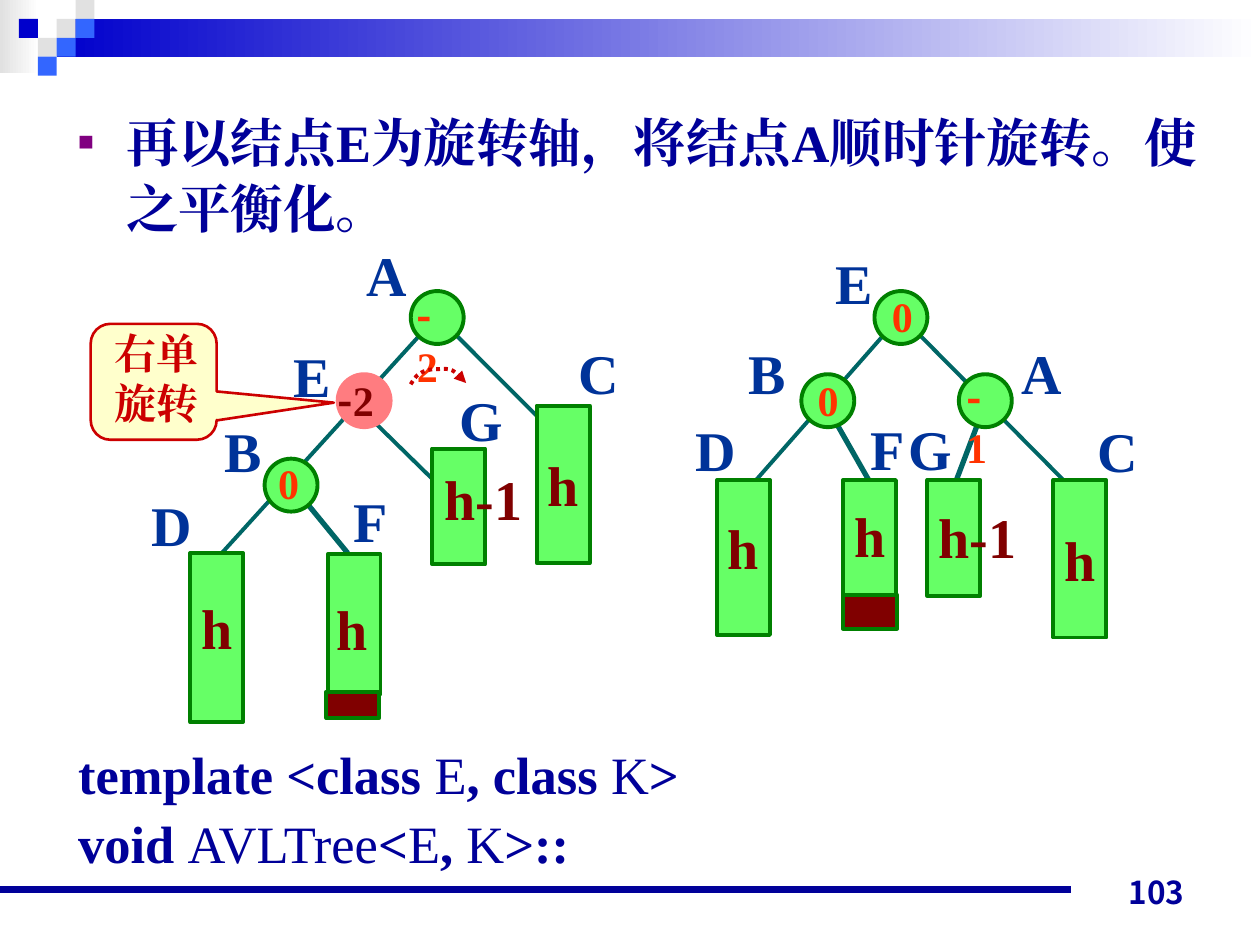
"""Build the AVL tree right-rotation slide."""
from lxml import etree
from pptx import Presentation
from pptx import util as u
from pptx.dml import color
from pptx.enum import dml, shapes, text
from pptx.oxml import ns

SERIF, SANS, SANS_SC = "Times New Roman", "Noto Sans CJK JP", "Noto Sans CJK SC"
NAVY, LABEL, MAROON, ORANGE = "000099", "003399", "800000", "FF3300"
RED, GREEN, EDGE_GREEN, TEAL, GREY = "CC0000", "66FF66", "008000", "006666", "E1E1E1"
NODE, BAR, TILE = 0.42, 0.42, 0.15


def rgb(value):
    return color.RGBColor.from_string(value)


def child(parent, tag, **attributes):
    return etree.SubElement(parent, ns.qn(tag), **attributes)


class Deck:
    """Holds the presentation style and the current slide."""

    def __init__(self):
        self.deck = Presentation()
        self.deck.slide_width, self.deck.slide_height = u.Inches(10), u.Inches(7.5)
        self.slide = self.deck.slides.add_slide(self.deck.slide_layouts[1])
        title = self.slide.shapes.title.element
        title.getparent().remove(title)

    def run(self, paragraph, words, size, fill, face=SERIF, bold=True):
        run = paragraph.add_run()
        run.text = words
        font = run.font
        font.size, font.bold, font.name = u.Pt(size), bold, face
        font.color.rgb = rgb(fill)
        child(run._r.get_or_add_rPr(), "a:ea", typeface=face)

    def shape(self, kind, box, fill, line=None, width=2.25):
        item = self.slide.shapes.add_shape(kind, *map(u.Inches, box))
        item.shadow.inherit = False
        item.fill.solid()
        item.fill.fore_color.rgb = rgb(fill)
        if line:
            item.line.color.rgb, item.line.width = rgb(line), u.Pt(width)
        else:
            item.line.fill.background()
        return item

    def rect(self, box, fill, line=None):
        return self.shape(shapes.MSO_SHAPE.RECTANGLE, box, fill, line)

    def gradient(self, box, start):
        fill = self.rect(box, start).fill
        fill.gradient()
        fill.gradient_angle = 0
        for stop, (position, value) in zip(fill.gradient_stops, ((0, start), (1, "FFFFFF"))):
            stop.position, stop.color.rgb = position, rgb(value)

    def node(self, x, y, fill=GREEN, line=EDGE_GREEN):
        self.shape(shapes.MSO_SHAPE.OVAL, (x, y, NODE, NODE), fill, line)

    def subtree(self, x, y, height, height_label=None, spacing=None):
        bar = self.rect((x, y, BAR, height), GREEN, EDGE_GREEN)
        if height_label:
            bar.text_frame.word_wrap = False
            paragraph = bar.text_frame.paragraphs[0]
            paragraph.alignment = text.PP_ALIGN.CENTER
            paragraph.line_spacing = spacing
            self.run(paragraph, height_label, 32, MAROON)

    def line(self, start, end, fill=TEAL, width=2.25):
        item = self.slide.shapes.add_connector(
            shapes.MSO_CONNECTOR.STRAIGHT, *map(u.Inches, start + end))
        item.line.color.rgb, item.line.width = rgb(fill), u.Pt(width)
        child(item._element.spPr, "a:effectLst")

    def text(self, box, lines, wrap=False, align=None, anchor=text.MSO_ANCHOR.TOP,
             fit=text.MSO_AUTO_SIZE.SHAPE_TO_FIT_TEXT):
        frame = self.slide.shapes.add_textbox(*map(u.Inches, box)).text_frame
        frame.word_wrap, frame.auto_size, frame.vertical_anchor = wrap, fit, anchor
        for index, runs in enumerate(lines):
            paragraph = frame.add_paragraph() if index else frame.paragraphs[0]
            paragraph.alignment = align
            for run in runs:
                self.run(paragraph, *run)

    def label(self, words, x, y, width, fill=LABEL):
        self.text((x, y, width, 0.64), [[(words, 32, fill)]])

    def balance(self, value, x, y, width, fill=ORANGE, wrap=False):
        runs = [(mark, 24, fill, SANS_SC if mark == "-" else SERIF) for mark in value]
        self.text((x, y, width, 0.5), [runs], wrap)

    def arc(self, start, curves):
        points, origin = [], start
        for first, second, end in curves:
            for t in (step / 8 for step in range(1, 9)):
                weights = ((1 - t) ** 3, 3 * t * (1 - t) ** 2, 3 * t * t * (1 - t), t ** 3)
                points.append(tuple(u.Inches(sum(w * p[axis] for w, p in zip(
                    weights, (origin, first, second, end)))) for axis in (0, 1)))
            origin = end
        builder = self.slide.shapes.build_freeform(*map(u.Inches, start))
        builder.add_line_segments(points, close=False)
        item = builder.convert_to_shape()
        item.shadow.inherit = False
        item.fill.background()
        item.line.color.rgb, item.line.width = rgb(RED), u.Pt(2.25)
        item.line.dash_style = dml.MSO_LINE.ROUND_DOT
        child(item.line._get_or_add_ln(), "a:tailEnd", type="triangle")

    def body(self, box, statement, code, gap):
        holder = self.slide.placeholders[1]
        holder.left, holder.top, holder.width, holder.height = map(u.Inches, box)
        frame = holder.text_frame
        frame.auto_size = text.MSO_AUTO_SIZE.NONE
        for index, runs in enumerate([[(statement, True)]] + code):
            paragraph = frame.add_paragraph() if index else frame.paragraphs[0]
            properties = paragraph._p.get_or_add_pPr()
            properties.set("marL", str(u.Inches(0.38)))
            properties.set("indent", str(u.Inches(-0.38)))
            if index:
                child(properties, "a:buNone")
            else:
                child(child(properties, "a:buClr"), "a:srgbClr", val="800080")
                child(properties, "a:buSzPct", val="50000")
                child(properties, "a:buChar", char="■")
                paragraph.alignment = text.PP_ALIGN.JUSTIFY
                paragraph.line_spacing = 1.05
            paragraph.space_before = u.Pt((0, gap, 3.7)[index])
            for words, bold in runs:
                self.run(paragraph, words, 30, NAVY, bold=bold)


def frame_slide(deck):
    deck.gradient((0, 0, 0.31, 0.58), GREY)
    deck.gradient((0.45, 0.15, 9.55, 0.3), "0000CC")
    for column, row, fill in ((3, 1, GREY), (4, 0, GREY), (4, 1, "3366FF"), (2, 2, GREY),
                              (1, 1, "0000CC"), (3, 2, "3366FF"), (2, 3, "3366FF")):
        deck.rect((column * TILE, row * TILE, TILE, TILE), fill)
    deck.line((0, 7.06), (8.5, 7.06), NAVY, 4.5)
    deck.text((7.17, 6.78, 2.33, 0.5), [[("103", 18, NAVY, SANS)]], True,
              text.PP_ALIGN.RIGHT, text.MSO_ANCHOR.BOTTOM, text.MSO_AUTO_SIZE.NONE)


def before_rotation(deck):
    callout = deck.shape(shapes.MSO_SHAPE.ROUNDED_RECTANGULAR_CALLOUT,
                         (0.72, 2.57, 1, 0.92), "FFFFCC", RED, 1.5)
    for index, value in enumerate((1.43, 0.18, 0.17)):
        callout.adjustments[index] = value
    deck.text((0.81, 2.55, 1, 0.9), [[(words, 24, RED)] for words in ("右单", "旋转")], True)
    deck.line((2.35, 3.89), (2.76, 4.39), width=3)
    for start, end in (((3.6, 2.64), (4.35, 3.39)), ((3.35, 2.64), (1.76, 4.39)),
                       ((2.93, 3.31), (3.43, 3.8))):
        deck.line(start, end)
    deck.node(2.68, 2.97, "FF7C80", "FF7C80")
    deck.node(3.26, 2.31)
    deck.node(2.1, 3.64)
    deck.subtree(4.26, 3.22, 1.25, "h")
    deck.subtree(1.51, 4.39, 1.34, "h", 0.6)
    deck.subtree(2.6, 4.4, 1.11)
    deck.subtree(3.43, 3.56, 0.92)
    deck.rect((2.59, 5.49, BAR, 0.21), MAROON, EDGE_GREEN)
    for label in (("A", 2.81, 1.86, 0.52), ("E", 2.23, 2.66, 0.49), ("C", 4.49, 2.64, 0.52),
                  ("D", 1.1, 3.84, 0.52), ("B", 1.68, 3.26, 0.49), ("F", 2.71, 3.81, 0.47),
                  ("G", 3.55, 3.01, 0.54), ("h-1", 3.43, 3.64, 0.82, MAROON),
                  ("h", 2.57, 4.67, 0.45, MAROON)):
        deck.label(*label)
    deck.balance("0", 2.11, 3.58, 0.36)
    deck.balance("-2", 3.21, 2.25, 0.47, wrap=True)
    deck.balance("-2", 2.58, 2.92, 0.56, MAROON)


def after_rotation(deck):
    for start, end, width in (((7.78, 3.31), (7.53, 3.97), 3), ((7.28, 2.64), (8.44, 3.81), 2.25),
                              ((7.03, 2.64), (5.86, 3.97), 2.25), ((6.61, 3.31), (6.94, 3.89), 3)):
        deck.line(start, end, width=width)
    for x, y in ((6.36, 2.97), (6.94, 2.31), (7.61, 2.97)):
        deck.node(x, y)
    deck.subtree(8.36, 3.81, 1.25, "h")
    deck.subtree(7.36, 3.81, 0.92)
    deck.subtree(5.69, 3.81, 1.23, "h", 0.6)
    deck.subtree(6.69, 3.81, 0.95)
    deck.rect((6.69, 4.72, 0.43, 0.27), MAROON, EDGE_GREEN)
    for label in (("F", 6.81, 3.24, 0.47), ("G", 7.11, 3.24, 0.54), ("D", 5.42, 3.25, 0.52),
                  ("A", 8.01, 2.64, 0.52), ("C", 8.61, 3.26, 0.52), ("E", 6.53, 1.92, 0.49),
                  ("B", 5.84, 2.64, 0.49), ("h-1", 7.35, 3.94, 0.82, MAROON),
                  ("h", 6.68, 3.93, 0.45, MAROON)):
        deck.label(*label)
    deck.balance("0", 6.98, 2.26, 0.36)
    deck.balance("0", 6.39, 2.92, 0.36)
    deck.balance("-1", 7.57, 2.9, 0.47, wrap=True)


def main():
    deck = Deck()
    frame_slide(deck)
    deck.body((0.52, 0.8, 9.08, 6.42), "再以结点E为旋转轴，将结点A顺时针旋转。使之平衡化。", [
        [("template <class ", True), ("E", False), (", class ", True), ("K", False), (">", True)],
        [("void ", True), ("AVLTree", False), ("<", True), ("E", False), (", ", True),
         ("K", False), (">::", True)]], 287)
    before_rotation(deck)
    after_rotation(deck)
    deck.arc((3.26, 3.05), (((3.28, 3.02), (3.3, 2.98), (3.34, 2.96)),
                            ((3.37, 2.94), (3.42, 2.93), (3.46, 2.93)),
                            ((3.5, 2.93), (3.55, 2.92), (3.59, 2.94)),
                            ((3.63, 2.96), (3.68, 3.02), (3.7, 3.04))))
    deck.deck.save("out.pptx")


if __name__ == "__main__":
    main()
